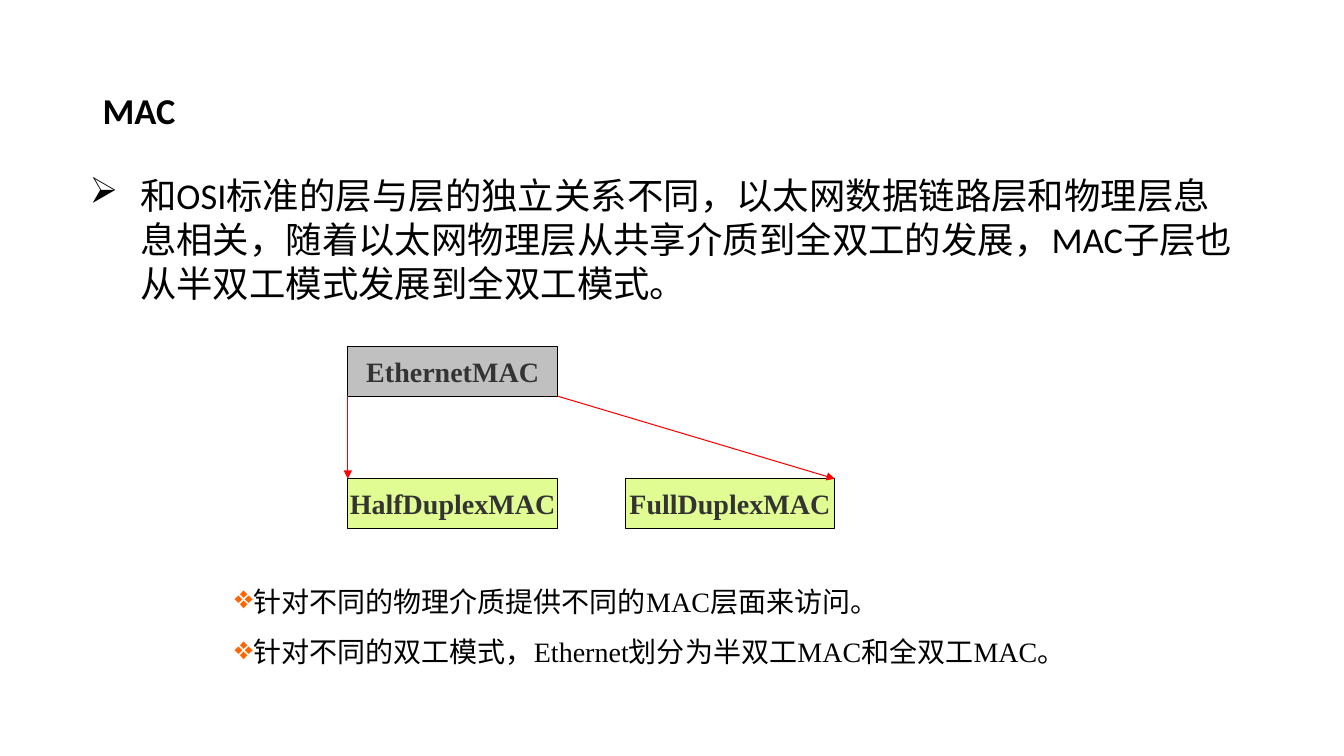
from lxml import etree
from pptx import Presentation
from pptx.dml.color import RGBColor
from pptx.enum.shapes import MSO_CONNECTOR as Conn, MSO_SHAPE as Shape
from pptx.enum.text import MSO_ANCHOR as Anchor, MSO_AUTO_SIZE as Fit, PP_ALIGN as Align
from pptx.oxml.ns import qn
from pptx.util import Inches, Pt

BLACK = RGBColor(0x00, 0x00, 0x00)
DARK = RGBColor(0x33, 0x33, 0x33)
GRAY = RGBColor(0xC0, 0xC0, 0xC0)
LIME = RGBColor(0xE0, 0xFC, 0x92)
RED = RGBColor(0xFF, 0x00, 0x00)
ORANGE = RGBColor(0xFF, 0x66, 0x00)

SANS, SERIF = "Calibri", "Times New Roman"
BOX_W, BOX_H = 2.08, 0.49
LEFT, RIGHT = 3.45, 6.2
TOP, LOW = 3.44, 4.75


def set_all(item, values):
    for name, value in values.items():
        setattr(item, name, value)


def add_run(para, text, size, face, color, bold=False):
    run = para.add_run()
    run.text = text
    set_all(run.font, {"size": Pt(size), "name": face, "bold": bold})
    run.font.color.rgb = color


def add_bullet(para, char, indent=0, color=None, scale=100):
    """Give the paragraph a bullet with a hanging indent in inches."""
    props = para._p.get_or_add_pPr()
    props.set("marL", str(Inches(indent)))
    props.set("indent", str(-Inches(indent)))
    if color is not None:
        tint = etree.SubElement(props, qn("a:buClr"))
        etree.SubElement(tint, qn("a:srgbClr"), val=str(color))
    etree.SubElement(props, qn("a:buSzPct"), val=str(scale * 1000))
    etree.SubElement(props, qn("a:buChar"), char=char)


def add_text(slide, place, lines, size, face, anchor=Anchor.TOP,
             space=1.0, bold=False, bullet=None):
    frame = slide.shapes.add_textbox(*map(Inches, place)).text_frame
    set_all(frame, {"word_wrap": True, "auto_size": Fit.SHAPE_TO_FIT_TEXT,
                    "vertical_anchor": anchor})
    for i, line in enumerate(lines):
        para = frame.add_paragraph() if i else frame.paragraphs[0]
        para.line_spacing = space
        add_run(para, line, size, face, BLACK, bold)
        if bullet:
            add_bullet(para, **bullet)


def add_box(slide, left, top, text, fill):
    box = slide.shapes.add_shape(
        Shape.RECTANGLE, *map(Inches, (left, top, BOX_W, BOX_H)))
    box.shadow.inherit = False
    box.fill.solid()
    box.fill.fore_color.rgb = fill
    box.line.color.rgb = BLACK
    box.line.width = Pt(0.75)
    set_all(box.text_frame, {"word_wrap": False, "vertical_anchor": Anchor.MIDDLE})
    para = box.text_frame.paragraphs[0]
    para.alignment = Align.CENTER
    add_run(para, text, 20, SERIF, DARK, True)


def add_arrow(slide, x):
    """Drop an arrow from the upper box's corner at x to the lower row."""
    end = x if x == LEFT else RIGHT + BOX_W
    arrow = slide.shapes.add_connector(
        Conn.STRAIGHT, *map(Inches, (x, TOP + BOX_H, end, LOW)))
    arrow.line.color.rgb = RED
    arrow.line.width = Pt(0.75)
    etree.SubElement(arrow.line._get_or_add_ln(), qn("a:tailEnd"), type="triangle")
    etree.SubElement(arrow._element.spPr, qn("a:effectLst"))


def main():
    deck = Presentation()
    set_all(deck, {"slide_width": Inches(13.33), "slide_height": Inches(7.5)})
    slide = deck.slides.add_slide(deck.slide_layouts[6])

    add_text(slide, (0.92, 0.88, 11.5, 0.48), ["MAC"], 26, SANS,
             Anchor.MIDDLE, 0.9, True)
    add_text(slide, (2.23, 5.58, 8.74, 1.1),
             ["针对不同的物理介质提供不同的MAC层面来访问。",
              "针对不同的双工模式，Ethernet划分为半双工MAC和全双工MAC。"],
             20, SERIF, space=1.5,
             bullet={"char": "❖", "color": ORANGE, "scale": 115})

    for left, top, text, fill in (
            (LEFT, TOP, "EthernetMAC", GRAY),
            (LEFT, LOW, "HalfDuplexMAC", LIME),
            (RIGHT, LOW, "FullDuplexMAC", LIME)):
        add_box(slide, left, top, text, fill)
    for x in (LEFT, LEFT + BOX_W):
        add_arrow(slide, x)

    add_text(slide, (0.79, 1.67, 11.62, 1.4),
             ["和OSI标准的层与层的独立关系不同，以太网数据链路层和物理层息息相关，"
              "随着以太网物理层从共享介质到全双工的发展，"
              "MAC子层也从半双工模式发展到全双工模式。"],
             26, SANS, Anchor.MIDDLE, bullet={"char": "➢", "indent": 0.5})
    deck.save("out.pptx")


if __name__ == "__main__":
    main()
